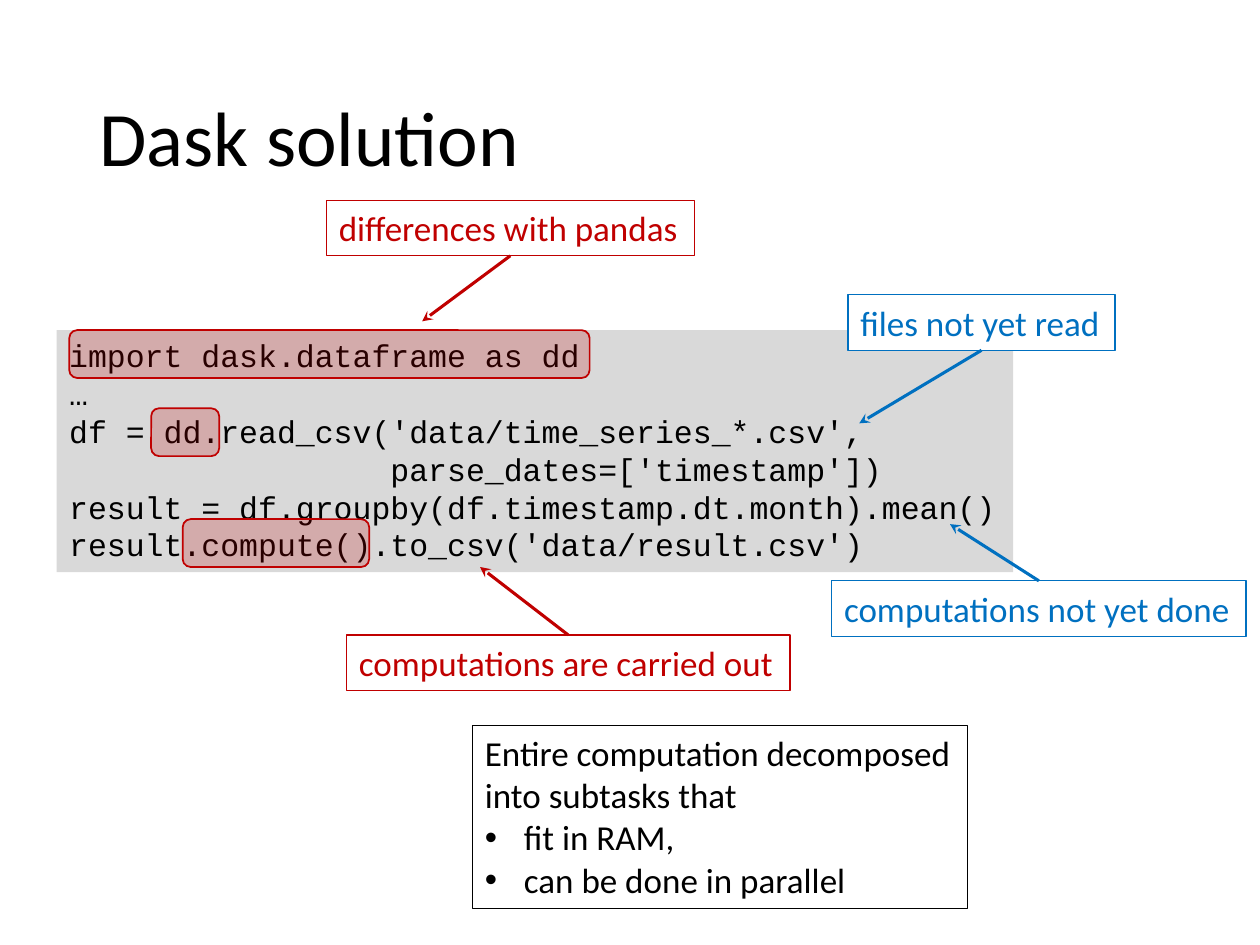
from dataclasses import dataclass

from lxml.etree import SubElement
from pptx import Presentation
from pptx.dml.color import RGBColor
from pptx.enum.shapes import MSO_CONNECTOR, MSO_SHAPE
from pptx.enum.text import MSO_ANCHOR, MSO_AUTO_SIZE, PP_ALIGN
from pptx.oxml.ns import qn
from pptx.util import Inches, Pt


@dataclass(frozen=True)
class Theme:
    """Colours, fonts and sizes of the slide."""
    black: str = "000000"
    white: str = "FFFFFF"
    code_fill: str = "D9D9D9"
    red: str = "C00000"
    blue: str = "0070C0"
    body_font: str = "Calibri"
    code_font: str = "Courier New"
    title_size: int = 44
    text_size: int = 20
    code_size: int = 18
    box_line: float = 0.75
    mark_line: float = 1
    arrow_line: float = 1.75
    mark_alpha: int = 21
    label_height: float = 0.44
    mark_height: float = 0.38


class SlideBuilder:
    """Adds styled elements to one slide."""

    def __init__(self, s, theme):
        self.s = s
        self.theme = theme

    def add_text(self, p, text, font, size, color):
        """Fill a paragraph with runs, one per line of text."""
        p.alignment = PP_ALIGN.LEFT
        for i, line in enumerate(text.split("\n")):
            if i:
                p.add_line_break()
            r = p.add_run()
            r.text = line
            r.font.name = font
            r.font.size = Pt(size)
            r.font.color.rgb = RGBColor.from_string(color)

    def title(self, text, left, top, width, height):
        """Place and fill the title placeholder."""
        t = self.theme
        sp = self.s.shapes.title
        sp.left, sp.top, sp.width, sp.height = map(Inches, (left, top, width, height))
        tf = sp.text_frame
        tf.vertical_anchor = MSO_ANCHOR.MIDDLE
        p = tf.paragraphs[0]
        p.line_spacing = 0.9
        self.add_text(p, text, t.body_font, t.title_size, t.black)

    def shape(self, kind, at, fill=None, line=None, weight=None):
        """Add a preset shape with a plain fill and outline."""
        sp = self.s.shapes.add_shape(kind, *map(Inches, at))
        sp.shadow.inherit = False
        if fill:
            sp.fill.solid()
            sp.fill.fore_color.rgb = RGBColor.from_string(fill)
        else:
            sp.fill.background()
        if line:
            sp.line.color.rgb = RGBColor.from_string(line)
            sp.line.width = Pt(weight)
        else:
            sp.line.fill.background()
        return sp

    def box(self, at, paragraphs, font, size, color, fill=None, line=None,
            wrap=False, bullets_from=None):
        """Add a rectangle of text, bulleted from a given paragraph on."""
        sp = self.shape(MSO_SHAPE.RECTANGLE, at, fill, line, self.theme.box_line)
        tf = sp.text_frame
        tf.word_wrap = wrap
        tf.auto_size = MSO_AUTO_SIZE.SHAPE_TO_FIT_TEXT
        tf.vertical_anchor = MSO_ANCHOR.TOP
        for i, text in enumerate(paragraphs):
            p = tf.add_paragraph() if i else tf.paragraphs[0]
            if bullets_from is not None and i >= bullets_from:
                self.bullet(p)
            self.add_text(p, text, font, size, color)

    def bullet(self, p):
        """Give a paragraph a hanging bullet."""
        pPr = p._p.get_or_add_pPr()
        pPr.set("marL", str(Inches(0.31)))
        pPr.set("indent", str(Inches(-0.31)))
        SubElement(pPr, qn("a:buFont")).set("typeface", "Arial")
        SubElement(pPr, qn("a:buChar")).set("char", "•")

    def mark(self, left, top, width):
        """Add a see-through highlight over code."""
        t = self.theme
        at = (left, top, width, t.mark_height)
        sp = self.shape(MSO_SHAPE.ROUNDED_RECTANGLE, at, t.red, t.red, t.mark_line)
        clr = sp._element.spPr.find(qn("a:solidFill"))[0]
        SubElement(clr, qn("a:alpha")).set("val", str(t.mark_alpha * 1000))

    def arrow(self, start, end, color):
        """Add a line with a stealth head at its end."""
        sp = self.s.shapes.add_connector(
            MSO_CONNECTOR.STRAIGHT, *map(Inches, (*start, *end)))
        sp.line.color.rgb = RGBColor.from_string(color)
        sp.line.width = Pt(self.theme.arrow_line)
        SubElement(sp.line._get_or_add_ln(), qn("a:tailEnd")).set("type", "stealth")
        SubElement(sp._element.spPr, qn("a:effectLst"))

    def callout(self, text, left, top, width, tip, color):
        """Add a label with an arrow from the middle of its nearer edge."""
        t = self.theme
        self.box((left, top, width, t.label_height), [text], t.body_font,
                 t.text_size, color, t.white, color)
        edge = top + t.label_height if tip[1] > top else top
        self.arrow((left + width / 2, edge), tip, color)


CODE = [
    "import dask.dataframe as dd",
    "…",
    "df = dd.read_csv('data/time_series_*.csv',\n"
    "                 parse_dates=['timestamp'])",
    "result = df.groupby(df.timestamp.dt.month).mean()",
    "result.compute().to_csv('data/result.csv')",
]
SUMMARY = [
    "Entire computation decomposed\ninto subtasks that",
    "fit in RAM,",
    "can be done in parallel",
]


def main():
    """Build and save the slide."""
    t = Theme()
    prs = Presentation()
    prs.slide_width, prs.slide_height = Inches(10), Inches(7.5)
    b = SlideBuilder(prs.slides.add_slide(prs.slide_layouts[5]), t)

    b.title("Dask solution", 0.69, 0.4, 8.62, 1.45)
    b.box((0.45, 2.62, 7.59, 1.92), CODE, t.code_font, t.code_size, t.black,
          fill=t.code_fill)
    b.callout("files not yet read", 6.73, 2.34, 2.12, (6.82, 3.36), t.blue)
    b.callout("computations not yet done", 6.6, 4.61, 3.29, (7.54, 4.16), t.blue)
    b.callout("computations are carried out", 2.75, 5.04, 3.52, (3.81, 4.5), t.red)
    b.box((3.75, 5.76, 3.93, 1.45), SUMMARY, t.body_font, t.text_size, t.black,
          line=t.black, wrap=True, bullets_from=1)
    for left, top, width in ((0.55, 2.62, 4.13), (1.45, 4.12, 1.48), (1.2, 3.24, 0.54)):
        b.mark(left, top, width)
    b.callout("differences with pandas", 2.59, 1.59, 2.92, (3.35, 2.55), t.red)

    prs.save("out.pptx")


if __name__ == "__main__":
    main()
